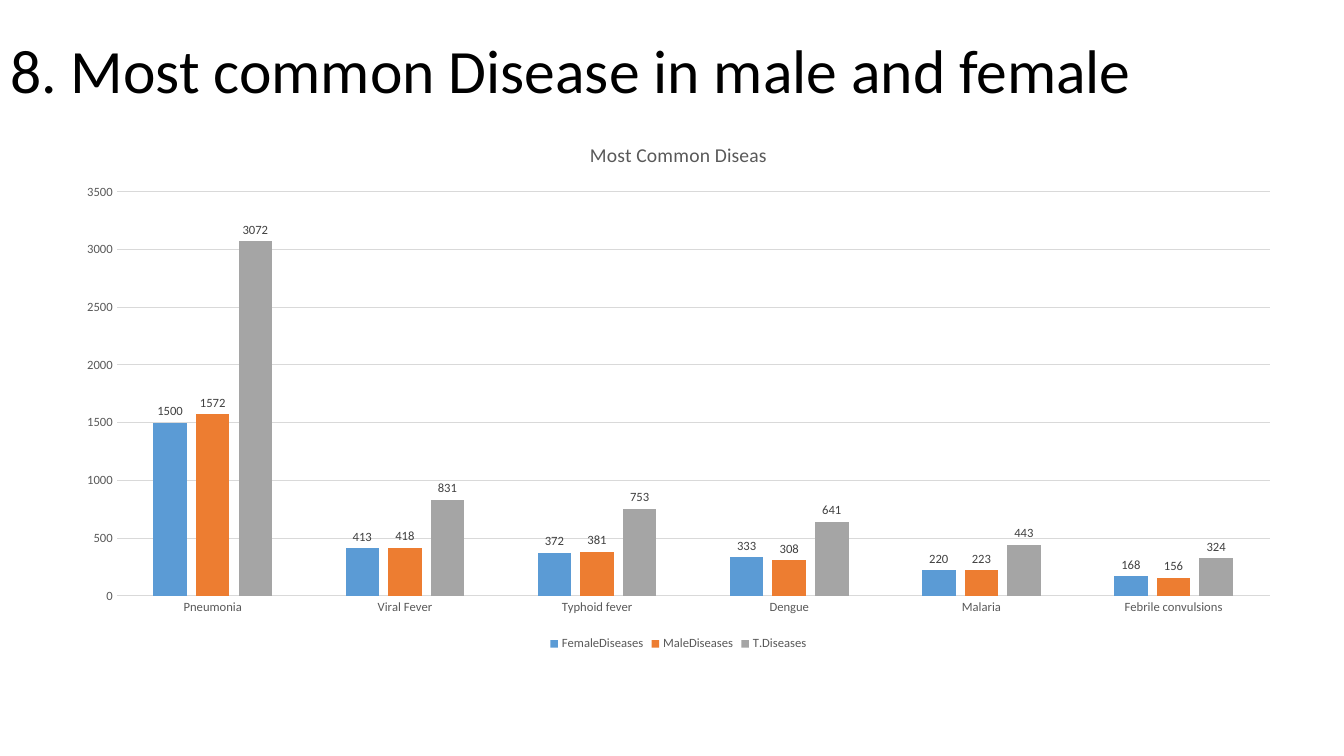
from pptx import Presentation
from pptx.chart.data import CategoryChartData
from pptx.dml.color import RGBColor
from pptx.enum.chart import XL_CHART_TYPE as ChartType
from pptx.enum.chart import XL_LABEL_POSITION as LabelPosition
from pptx.enum.chart import XL_LEGEND_POSITION as LegendPosition
from pptx.enum.chart import XL_TICK_MARK as TickMark
from pptx.enum.text import MSO_ANCHOR as Anchor
from pptx.enum.text import PP_ALIGN as Align
from pptx.util import Pt

FONT = "Calibri"
BLACK, DARK, GREY, PALE = "000000", "404040", "595959", "D9D9D9"

DISEASES = ["Pneumonia", "Viral Fever", "Typhoid fever",
            "Dengue", "Malaria", "Febrile convulsions"]
CASES = [
    ("FemaleDiseases", "5B9BD5", [1500, 413, 372, 333, 220, 168]),
    ("MaleDiseases", "ED7D31", [1572, 418, 381, 308, 223, 156]),
    ("T.Diseases", "A5A5A5", [3072, 831, 753, 641, 443, 324]),
]


def color(hex_string):
    return RGBColor.from_string(hex_string)


def style_font(font, size, hex_string):
    font.name = FONT
    font.size = Pt(size)
    font.bold = False
    font.color.rgb = color(hex_string)


def style_line(line, hex_string):
    line.color.rgb = color(hex_string)
    line.width = Pt(0.75)


def add_title(page, box, text):
    title = page.shapes.title
    title.left, title.top, title.width, title.height = map(Pt, box)
    frame = title.text_frame
    frame.text = text
    frame.word_wrap = True
    frame.vertical_anchor = Anchor.MIDDLE
    para = frame.paragraphs[0]
    para.alignment = Align.LEFT
    para.line_spacing = 0.9
    style_font(para.runs[0].font, 44, BLACK)


def style_axes(chart):
    categories, values = chart.category_axis, chart.value_axis
    for axis in (categories, values):
        axis.major_tick_mark = axis.minor_tick_mark = TickMark.NONE
        style_font(axis.tick_labels.font, 9, GREY)
    style_line(categories.format.line, PALE)
    values.format.line.fill.background()
    values.has_major_gridlines = True
    style_line(values.major_gridlines.format.line, PALE)


def add_disease_chart(page, box, heading):
    data = CategoryChartData()
    data.categories = DISEASES
    for name, _, counts in CASES:
        data.add_series(name, counts)
    chart = page.shapes.add_chart(
        ChartType.COLUMN_CLUSTERED, *map(Pt, box), data).chart
    style_font(chart.font, 10, BLACK)

    # Heading and legend
    chart.has_title = True
    frame = chart.chart_title.text_frame
    frame.text = heading
    style_font(frame.paragraphs[0].runs[0].font, 14, GREY)
    chart.chart_title.include_in_layout = False
    chart.has_legend = True
    chart.legend.position = LegendPosition.BOTTOM
    chart.legend.include_in_layout = False
    style_font(chart.legend.font, 9, GREY)

    style_axes(chart)

    # Columns with their values
    plot = chart.plots[0]
    plot.gap_width, plot.overlap = 219, -27
    plot.vary_by_categories = False
    for series, (_, fill, _) in zip(plot.series, CASES):
        series.format.fill.solid()
        series.format.fill.fore_color.rgb = color(fill)
        series.invert_if_negative = False
        labels = series.data_labels
        labels.show_value = True
        labels.position = LabelPosition.OUTSIDE_END
        style_font(labels.font, 9, DARK)


def main():
    deck = Presentation()
    deck.slide_width, deck.slide_height = Pt(960), Pt(540)
    page = deck.slides.add_slide(deck.slide_layouts[5])
    page.background.fill.solid()
    page.background.fill.fore_color.rgb = color("FFFFFF")
    add_title(page, (0, 0, 977, 104.4),
              "8. Most common Disease in male and female")
    add_disease_chart(page, (44.64, 87.12, 879.84, 380.88),
                      "Most Common Diseas")
    deck.save("out.pptx")


if __name__ == "__main__":
    main()
